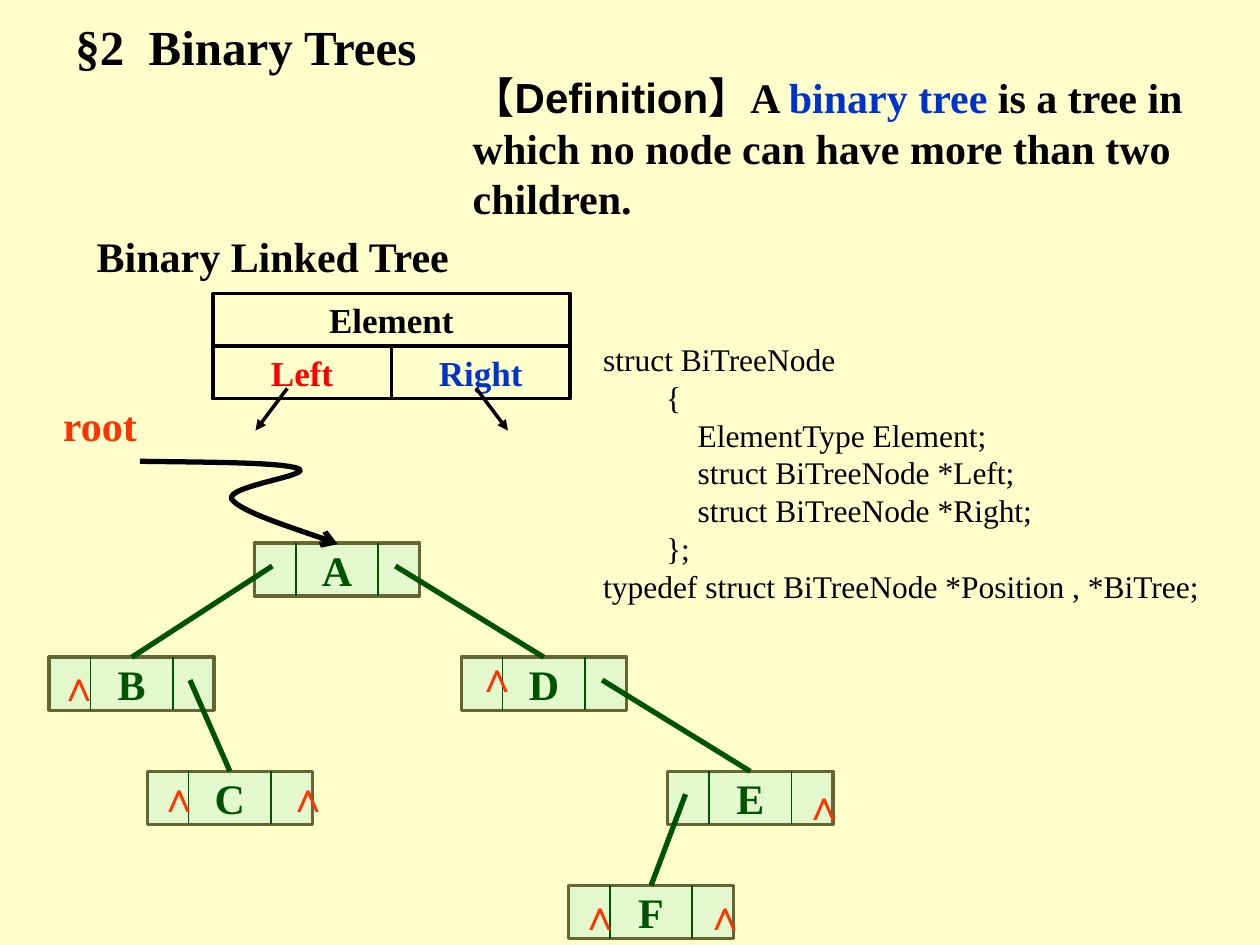
from lxml.etree import SubElement as Sub
from pptx import Presentation
from pptx.dml.color import RGBColor as Rgb
from pptx.enum.shapes import MSO_CONNECTOR as Link, MSO_SHAPE as Form
from pptx.enum.text import MSO_ANCHOR as Anchor, PP_ALIGN as Align
from pptx.oxml.ns import qn
from pptx.util import Cm, Pt

THEME = {
    "page": "FFFFCC", "ink": "000000", "blue": "0033CC", "red": "FF0000",
    "mark": "FF3300", "green": "005400", "cell": "CAF2CE", "edge": "666633",
    "serif": "Times New Roman", "sans": "Arial",
    "title": 28, "body": 24, "field": 20, "code": 18,
}

# Content: a run is (text, colour, font)
TITLE = "§2  Binary Trees"
DEFINE = [
    ("【Definition】", "ink", "sans"),
    ("A ", "ink", "serif"),
    ("binary tree", "blue", "serif"),
    (" is a tree in which no node can have more than two children.",
     "ink", "serif"),
]
HEAD = "Binary Linked Tree"
CODE = [
    "struct BiTreeNode",
    "        {",
    "            ElementType Element;",
    "            struct BiTreeNode *Left;",
    "            struct BiTreeNode *Right;",
    "        };",
    "typedef struct BiTreeNode *Position , *BiTree;",
]

# Record fields: text, colour, column, row, columns spanned
FIELDS = [("Left", "red", 0, 1, 1), ("Right", "blue", 1, 1, 1),
          ("Element", "ink", 0, 0, 2)]
ARROWS = [(5.79, 5.15), (9.6, 10.24)]

# Tree nodes: left edge and level; links: parent, child, side
NODES = {"A": (5.13, 0), "D": (9.3, 1), "E": (13.46, 2),
         "B": (0.99, 1), "C": (2.97, 2), "F": (11.46, 3)}
LINKS = [("A", "B", "left"), ("A", "D", "right"), ("B", "C", "right"),
         ("D", "E", "right"), ("E", "F", "left")]
NULLS = [(11.43, 17.78), (13.95, 17.78), (15.95, 15.56), (9.35, 12.98),
         (2.95, 15.4), (5.54, 15.4), (0.94, 13.18)]

# Root pointer: a start point, then three points for each curve
CURVE = [(2.82, 9.3), (4.27, 9.32), (5.69, 9.32), (6.02, 9.45),
         (6.32, 9.58), (4.55, 9.8), (4.67, 10.06),
         (4.83, 10.31), (6.45, 10.82), (6.81, 10.97)]

TOP, STEP, WIDE, HIGH = 10.95, 2.3, 3.33, 1.07
PORT = {"left": 0.36, "right": 2.84}
DROP = 0.46

deck = Presentation()
deck.slide_width, deck.slide_height = Cm(25.4), Cm(19.05)
slide = deck.slides.add_slide(deck.slide_layouts[6])
shapes = slide.shapes


def tint(fill, name):
    fill.solid()
    fill.fore_color.rgb = Rgb.from_string(THEME[name])


def stroke(shape, name, width, tip=None):
    tint(shape.line.fill, name)
    shape.line.width = Pt(width)
    if tip:
        Sub(shape.line._get_or_add_ln(), qn("a:tailEnd"), type=tip)


def write(frame, lines, size, bold=True, wrap=False):
    """Fill a frame; each line is a list of runs."""
    frame.word_wrap = wrap
    for i, runs in enumerate(lines):
        para = frame.add_paragraph() if i else frame.paragraphs[0]
        for text, hue, face in runs:
            run = para.add_run()
            run.text = text
            font = run.font
            font.name, font.size, font.bold = THEME[face], Pt(THEME[size]), bold
            tint(font.fill, hue)


def label(x, y, w, h, lines, size, **kind):
    frame = shapes.add_textbox(Cm(x), Cm(y), Cm(w), Cm(h)).text_frame
    write(frame, lines, size, **kind)
    return frame


def box(x, y, w, h, text, hue, size, edge):
    shape = shapes.add_shape(Form.RECTANGLE, Cm(x), Cm(y), Cm(w), Cm(h))
    shape.shadow.inherit = False
    shape.fill.background()
    stroke(shape, edge, 2)
    frame = shape.text_frame
    write(frame, [[(text, hue, "serif")]], size)
    frame.vertical_anchor = Anchor.MIDDLE
    frame.paragraphs[0].alignment = Align.CENTER
    return shape


def line(x1, y1, x2, y2, hue, width, tip=None):
    rule = shapes.add_connector(Link.STRAIGHT, Cm(x1), Cm(y1), Cm(x2), Cm(y2))
    stroke(rule, hue, width, tip)
    Sub(rule._element.spPr, qn("a:effectLst"))


def place(name):
    x, level = NODES[name]
    return x, TOP + level * STEP


# Title and definition
tint(slide.background.fill, "page")
label(1.27, 0.2, 10.16, 1.45, [[(TITLE, "ink", "serif")]], "title", wrap=True)
frame = label(3.18, 1.32, 22.22, 3.3, [DEFINE], "body", wrap=True)
props = frame.paragraphs[0]._p.get_or_add_pPr()
props.set("marL", str(Cm(6.1)))
props.set("indent", "0")

# Record layout and its two pointers
for text, hue, col, row, span in FIELDS:
    box(4.29 + col * 3.6, 5.92 + row * 1.06, 3.6 * span, 1.06,
        text, hue, "field", "ink")
for start, end in ARROWS:
    line(start, 7.83, end, 8.68, "ink", 2, "triangle")

# Tree nodes, each with two dividers
for name in NODES:
    x, y = place(name)
    node = box(x, y, WIDE, HIGH, name, "green", "body", "edge")
    tint(node.fill, "cell")
    Sub(node.fill._xPr.find(".//" + qn("a:srgbClr")), qn("a:alpha"), val="50000")
    for part in (0.25, 0.75):
        line(x + WIDE * part, y, x + WIDE * part, y + HIGH, "green", 1)

# Null marks and child links
for x, y in NULLS:
    label(x, y, 0.79, 1.27, [[("∧", "mark", "sans")]], "body")
for top, low, side in LINKS:
    x, y = place(top)
    end, base = place(low)
    line(x + PORT[side], y + DROP, end + WIDE / 2, base, "green", 3)

# Curved root pointer: turn each three straight steps into one curve
pen = shapes.build_freeform(*(Cm(v) for v in CURVE[0]))
pen.add_line_segments([(Cm(x), Cm(y)) for x, y in CURVE[1:]], close=False)
curl = pen.convert_to_shape()
curl.shadow.inherit = False
curl.fill.background()
stroke(curl, "ink", 3, "arrow")
track = curl._element.find(".//" + qn("a:path"))
steps = track.findall(qn("a:lnTo"))
for i in range(0, len(steps), 3):
    bend = Sub(track, qn("a:cubicBezTo"))
    for step in steps[i:i + 3]:
        bend.append(step[0])
        track.remove(step)

# Headings and code
label(1.02, 7.92, 2.01, 1.27, [[("root", "mark", "serif")]], "body")
label(1.7, 4.52, 7.7, 1.27, [[(HEAD, "ink", "serif")]], "body")
label(11.91, 6.73, 13.49, 5.59, [[(row, "ink", "serif")] for row in CODE],
      "code", bold=False, wrap=True)

deck.save("out.pptx")
